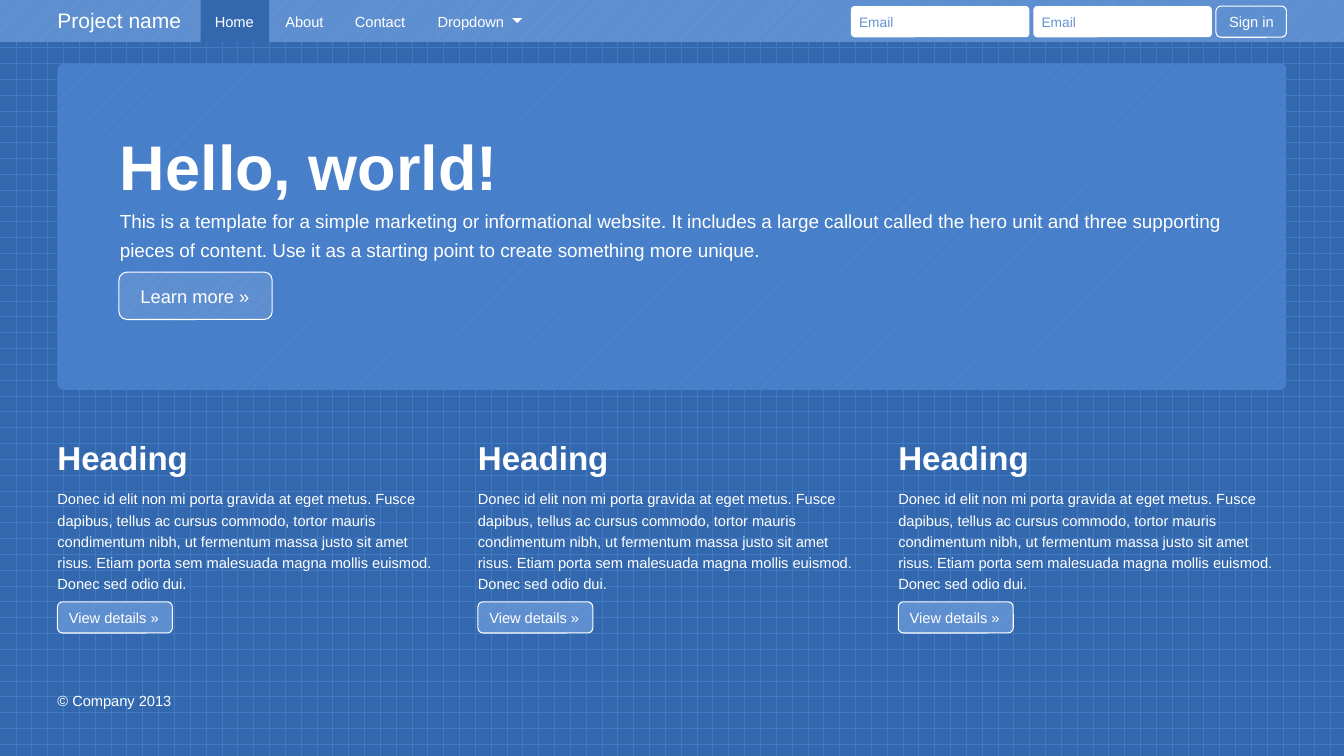
from dataclasses import dataclass
from pptx import Presentation
from pptx import util as u
from pptx.dml.color import RGBColor
from pptx.enum import dml, shapes, text


@dataclass(frozen=True)
class Theme:
    """Colours, type sizes and font of the page."""
    white: str = "FFFFFF"
    deep: str = "3368AF"
    grid: str = "407AC0"
    mid: str = "437CC9"
    light: str = "6493D2"
    font: str = "Arial"
    hero: float = 45
    head: float = 23.6
    brand: float = 15
    lead: float = 13.5
    action: float = 13.1
    body: float = 10.5
    field: float = 9.8


T = Theme()
ROUND = shapes.MSO_SHAPE.ROUNDED_RECTANGLE
STRIPE = dml.MSO_PATTERN.LIGHT_UPWARD_DIAGONAL
PAD = (0.1, 0.05)
FLUSH = (0, 0.05)
NAV = (0.14, 0.12)
MIDDLE = text.MSO_ANCHOR.MIDDLE
LEFT = text.PP_ALIGN.LEFT


def paint(fill, fore, back=None, pattern=STRIPE):
    """Fill with one colour, or with a pattern of two."""
    if back is None:
        fill.solid()
        fill.fore_color.rgb = RGBColor.from_string(fore)
        return
    fill.patterned()
    fill.pattern = pattern
    fill.fore_color.rgb = RGBColor.from_string(fore)
    fill.back_color.rgb = RGBColor.from_string(back)


def write(shape, words, size, color=T.white, pad=PAD, wrap=False, grow=True,
          anchor=text.MSO_ANCHOR.TOP, align=LEFT, bold=False, lines=None):
    """Set and format the text of a shape."""
    frame = shape.text_frame
    frame.text = words
    frame.word_wrap = wrap
    frame.auto_size = (text.MSO_AUTO_SIZE.SHAPE_TO_FIT_TEXT if grow
                       else text.MSO_AUTO_SIZE.NONE)
    frame.vertical_anchor = anchor
    frame.margin_left = frame.margin_right = u.Inches(pad[0])
    frame.margin_top = frame.margin_bottom = u.Inches(pad[1])
    para = frame.paragraphs[0]
    para.alignment = align
    para.space_before = u.Pt(0)
    para.line_spacing = lines or 1.0
    para.space_after = u.Pt(6 if lines else 0)
    font = para.runs[0].font
    font.name, font.size, font.bold = T.font, u.Pt(size), bold
    font.color.rgb = RGBColor.from_string(color)


def label(slide, box, words, size, **style):
    """Add a text box."""
    shape = slide.shapes.add_textbox(*map(u.Inches, box))
    write(shape, words, size, **style)
    return shape


def block(slide, box, fore, back=None, kind=ROUND, bend=None):
    """Add a filled shape without line or shadow."""
    shape = slide.shapes.add_shape(kind, *map(u.Inches, box))
    shape.shadow.inherit = False
    shape.line.fill.background()
    paint(shape.fill, fore, back)
    if bend is not None:
        shape.adjustments[0] = bend
    return shape


def button(slide, box, words, size=T.body, pad=PAD, align=LEFT, wrap=False):
    """Add a striped button with a white edge."""
    shape = block(slide, box, T.mid, T.light)
    paint(shape.line.fill, T.white)
    shape.line.width = u.Pt(0.75)
    write(shape, words, size, pad=pad, align=align, wrap=wrap,
          grow=not wrap, anchor=MIDDLE)


def navbar(slide, x, y, w, h):
    """Draw the top bar with its links and sign-in form."""
    block(slide, (x, y, w, h), T.mid, T.light, bend=0)
    label(slide, (x + 0.57, y + 0.03, 1.24, 0.35), "Project name", T.brand,
          pad=FLUSH)
    home = block(slide, (x + 1.99, y, 0.68, h), T.deep,
                 kind=shapes.MSO_SHAPE.RECTANGLE)
    write(home, "Home", T.body, pad=NAV, anchor=MIDDLE)
    links = (("About", 2.69, 0.67), ("Contact", 3.38, 0.79),
             ("Dropdown", 4.2, 0.96))
    for words, left, wide in links:
        label(slide, (x + left, y, wide, h), words, T.body, pad=NAV,
              anchor=MIDDLE)
    caret = block(slide, (x + 5.08, y + 0.18, 0.1, 0.05), T.white,
                  kind=shapes.MSO_SHAPE.ISOSCELES_TRIANGLE)
    caret.rotation = 180
    for left in (8.44, 10.25):
        field = block(slide, (x + left, y + 0.06, 1.77, 0.31), T.white,
                      bend=0.12)
        write(field, "Email", T.field, T.light, pad=(0.07, 0.05), wrap=True,
              grow=False, anchor=MIDDLE)
    button(slide, (x + 12.06, y + 0.06, 0.7, 0.31), "Sign in",
           pad=(0.11, 0.05), align=text.PP_ALIGN.RIGHT)


def hero(slide, x, y, w, h):
    """Draw the large callout with the slide title."""
    panel = block(slide, (x, y, w, h), T.light, T.mid, bend=0.02)
    title = slide.shapes.title
    panel._element.addnext(title._element)
    title.left, title.top = u.Inches(x + 0.52), u.Inches(y + 0.58)
    title.width, title.height = u.Inches(3.99), u.Inches(0.86)
    write(title, "Hello, world!", T.hero, bold=True)
    label(slide, (x + 0.52, y + 1.33, w - 1, 0.69),
          "This is a template for a simple marketing or informational "
          "website. It includes a large callout called the hero unit and "
          "three supporting pieces of content. Use it as a starting point "
          "to create something more unique.", T.lead, wrap=True, lines=1.3)
    button(slide, (x + 0.61, y + 2.07, 1.52, 0.47), "Learn more »",
           T.action, pad=(0.19, 0.1), wrap=True)


def column(slide, x, y, w):
    """Draw one heading with its text and button."""
    label(slide, (x, y, 1.31, 0.5), "Heading", T.head, pad=FLUSH, bold=True)
    label(slide, (x, y + 0.49, w, 1.16),
          "Donec id elit non mi porta gravida at eget metus. Fusce dapibus, "
          "tellus ac cursus commodo, tortor mauris condimentum nibh, ut "
          "fermentum massa justo sit amet risus. Etiam porta sem malesuada "
          "magna mollis euismod. Donec sed odio dui.", T.body, pad=FLUSH,
          wrap=True, lines=1.2)
    button(slide, (x, y + 1.68, 1.14, 0.31), "View details »")


def main():
    """Build and save the slide."""
    deck = Presentation()
    deck.slide_width, deck.slide_height = u.Inches(13.33), u.Inches(7.5)
    slide = deck.slides.add_slide(deck.slide_layouts.get_by_name("Title Only"))
    paint(slide.background.fill, T.grid, T.deep, dml.MSO_PATTERN.DOTTED_GRID)
    navbar(slide, 0, 0, 13.33, 0.42)
    hero(slide, 0.57, 0.63, 12.19, 3.24)
    for i in range(3):
        column(slide, 0.57 + i * 4.17, 4.29, 3.8)
    label(slide, (0.57, 6.78, 1.15, 0.31), "© Company 2013", T.body,
          pad=FLUSH, lines=1.2)
    deck.save("out.pptx")


main()
